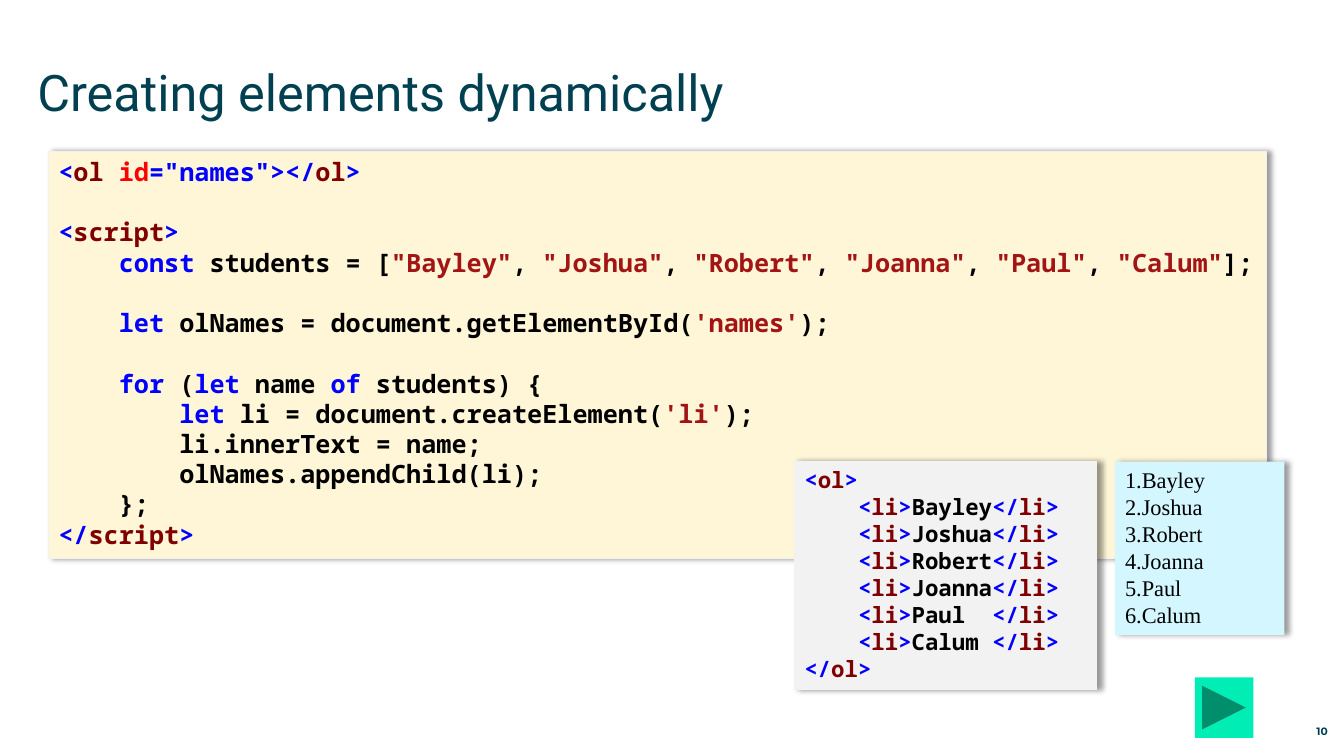
from lxml.etree import SubElement
from pptx import Presentation
from pptx.dml.color import RGBColor
from pptx.enum.shapes import MSO_SHAPE as Shape
from pptx.enum.text import MSO_ANCHOR as Anchor, MSO_AUTO_SIZE as AutoSize, PP_ALIGN as Align
from pptx.oxml.ns import qn
from pptx.util import Inches, Pt

TEAL = RGBColor(0x00, 0x40, 0x50)
BLACK = RGBColor(0x00, 0x00, 0x00)
BLUE = RGBColor(0x00, 0x00, 0xFF)
MAROON = RGBColor(0x80, 0x00, 0x00)
RED = RGBColor(0xFF, 0x00, 0x00)
CRIMSON = RGBColor(0xA3, 0x15, 0x15)
CREAM = RGBColor(0xFE, 0xF6, 0xD7)
GREY = RGBColor(0xF2, 0xF2, 0xF2)
SKY = RGBColor(0xD4, 0xF6, 0xFF)
MINT = RGBColor(0x00, 0xED, 0xB5)

STUDENTS = ["Bayley", "Joshua", "Robert", "Joanna", "Paul", "Calum"]


def tag(name, opening="<"):
    """Return the coloured parts of an HTML tag."""
    return [(opening, BLUE), (name, MAROON), (">", BLUE)]


def script_lines():
    """Return the source code as (follows a gap, coloured parts) pairs."""
    names = [("    ", BLACK), ("const", BLUE), (" students = [", BLACK)]
    for i, student in enumerate(STUDENTS):
        if i:
            names.append((", ", BLACK))
        names.append((f'"{student}"', CRIMSON))
    names.append(("];", BLACK))
    return [
        (False, [("<", BLUE), ("ol ", MAROON), ("id", RED), ('="names"></', BLUE),
                 ("ol", MAROON), (">", BLUE)]),
        (True, tag("script")),
        (False, names),
        (True, [("    ", BLACK), ("let ", BLUE), ("olNames = document.getElementById(", BLACK),
                ("'names'", CRIMSON), (");", BLACK)]),
        (True, [("    ", BLACK), ("for", BLUE), (" (", BLACK), ("let", BLUE),
                (" name ", BLACK), ("of", BLUE), (" students) {", BLACK)]),
        (False, [("        ", BLACK), ("let", BLUE), (" li = document.createElement(", BLACK),
                 ("'li'", CRIMSON), (");", BLACK)]),
        (False, [("        li.innerText = name;", BLACK)]),
        (False, [("        olNames.appendChild(li);", BLACK)]),
        (False, [("    };", BLACK)]),
        (False, tag("script", "</")),
    ]


def markup_lines():
    """Return the generated list markup in the form of script_lines."""
    width = max(map(len, STUDENTS))
    items = [[("    ", BLACK), *tag("li"), (student.ljust(width), BLACK), *tag("li", "</")]
             for student in STUDENTS]
    return [(False, parts) for parts in [tag("ol"), *items, tag("ol", "</")]]


def add_panel(slide, box, fill, outlined=True):
    """Add a shadowed rectangle and return its text frame."""
    panel = slide.shapes.add_shape(Shape.RECTANGLE, *map(Inches, box))
    panel.fill.solid()
    panel.fill.fore_color.rgb = fill
    if outlined:
        panel.line.color.rgb = GREY
        panel.line.width = Pt(0.75)
    else:
        panel.line.fill.background()
    panel.shadow.inherit = False
    effects = panel._element.spPr.find(qn("a:effectLst"))
    shadow = SubElement(effects, qn("a:outerShdw"), blurRad=str(Pt(4)), dist=str(Pt(3)),
                        dir="0", algn="l", rotWithShape="0")
    colour = SubElement(shadow, qn("a:srgbClr"), val=str(BLACK))
    SubElement(colour, qn("a:alpha"), val="40000")
    frame = panel.text_frame
    frame.word_wrap = True
    frame.auto_size = AutoSize.SHAPE_TO_FIT_TEXT
    frame.vertical_anchor = Anchor.TOP
    return frame


def format_font(font, name, size, colour, bold=False):
    """Set the look of a font."""
    font.name, font.size, font.bold = name, Pt(size), bold
    font.color.rgb = colour


def add_code(slide, box, fill, size, lines):
    """Add a panel of coloured code."""
    frame = add_panel(slide, box, fill)
    for i, (gap, parts) in enumerate(lines):
        line = frame.add_paragraph() if i else frame.paragraphs[0]
        line.alignment = Align.LEFT
        if gap:
            line.space_before = Pt(size * 1.2)
        for text, colour in parts:
            part = line.add_run()
            part.text = text
            format_font(part.font, "Noto Sans Mono", size, colour, True)


def add_result(slide, box):
    """Add the numbered list that the code produces."""
    frame = add_panel(slide, box, SKY, outlined=False)
    frame.text = "\n".join(STUDENTS)
    for student in frame.paragraphs:
        student.alignment = Align.LEFT
        properties = student._p.get_or_add_pPr()
        properties.set("marL", "0")
        properties.set("indent", "0")
        SubElement(properties, qn("a:buFont"), typeface="+mj-lt")
        SubElement(properties, qn("a:buAutoNum"), type="arabicPeriod")
        format_font(student.runs[0].font, "Times New Roman", 16, BLACK)


def clear_margins(frame):
    """Remove the inner margins of a text frame."""
    frame.margin_left = frame.margin_top = frame.margin_right = frame.margin_bottom = 0


def add_title(slide, box):
    """Place and format the slide title."""
    title = slide.shapes.title
    title.left, title.top, title.width, title.height = map(Inches, box)
    frame = title.text_frame
    frame.text = "Creating elements dynamically"
    clear_margins(frame)
    frame.vertical_anchor = Anchor.TOP
    heading = frame.paragraphs[0]
    heading.alignment = Align.LEFT
    format_font(heading.runs[0].font, "Roboto", 36, TEAL)


def add_page_number(slide, box):
    """Add the page number."""
    frame = slide.shapes.add_textbox(*map(Inches, box)).text_frame
    frame.word_wrap = True
    frame.text = "10"
    clear_margins(frame)
    frame.vertical_anchor = Anchor.BOTTOM
    number = frame.paragraphs[0]
    number.alignment = Align.RIGHT
    format_font(number.runs[0].font, "Montserrat", 7.6, TEAL, True)


def add_next_button(slide, box):
    """Add the forward button."""
    button = slide.shapes.add_shape(Shape.ACTION_BUTTON_FORWARD_OR_NEXT, *map(Inches, box))
    button.fill.solid()
    button.fill.fore_color.rgb = MINT
    button.line.fill.background()
    button.shadow.inherit = False


def main():
    """Build and save the slide."""
    deck = Presentation()
    deck.slide_width, deck.slide_height = Inches(13.33), Inches(7.5)
    slide = deck.slides.add_slide(deck.slide_layouts[5])
    add_title(slide, (0.37, 0.61, 12.6, 0.88))
    add_page_number(slide, (12.31, 7.12, 0.86, 0.2))
    add_code(slide, (0.48, 1.5, 12.08, 4.04), CREAM, 18, script_lines())
    add_result(slide, (11.06, 4.58, 1.68, 1.72))
    add_code(slide, (7.88, 4.58, 3, 2.26), GREY, 16, markup_lines())
    add_next_button(slide, (11.85, 6.72, 0.58, 0.6))
    deck.save("out.pptx")


if __name__ == "__main__":
    main()
